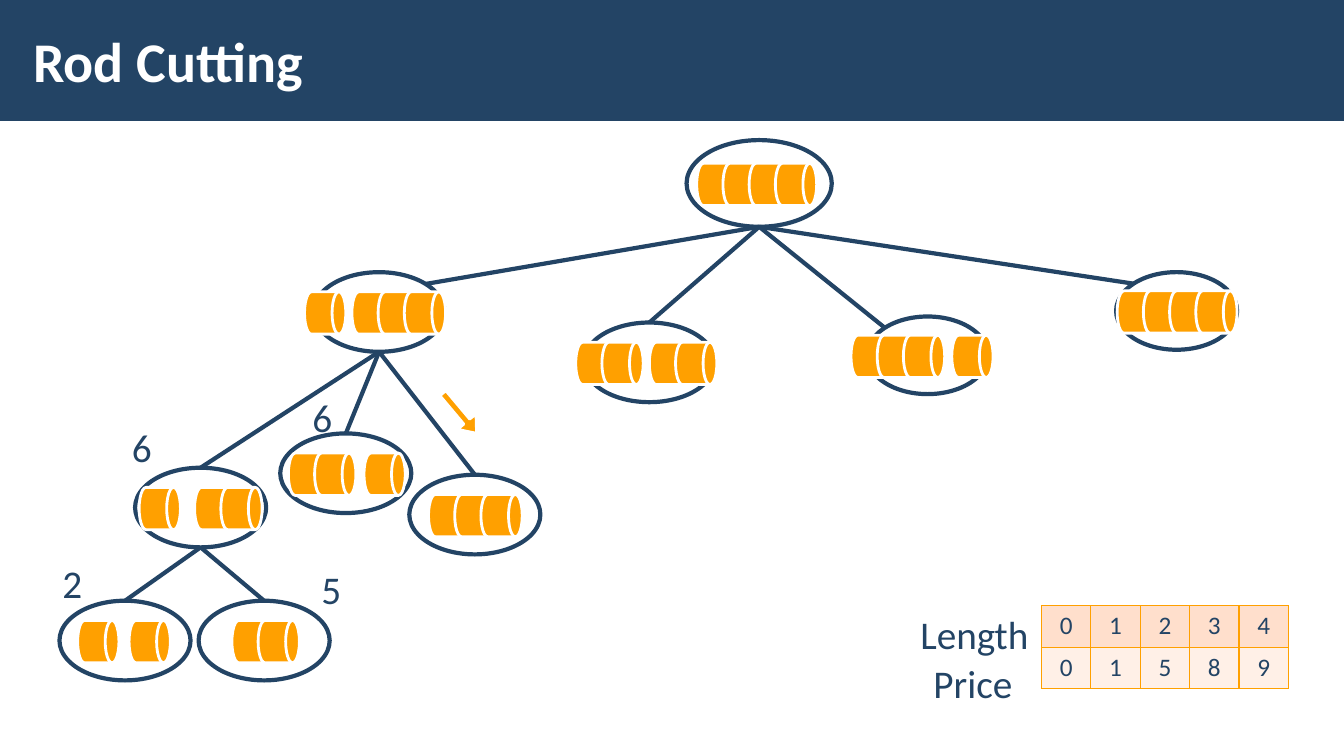
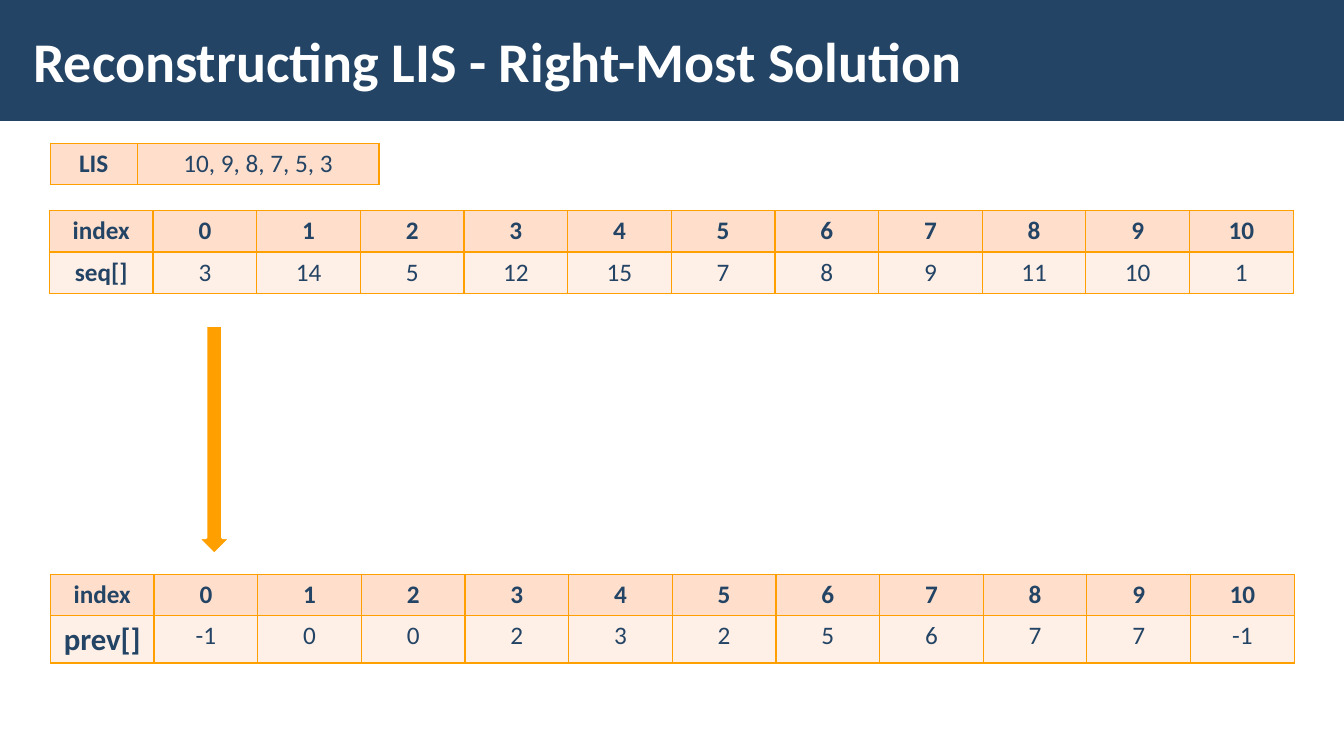
from lxml import etree
from pptx import Presentation
from pptx.dml.color import RGBColor
from pptx.enum.shapes import MSO_CONNECTOR, MSO_SHAPE
from pptx.enum.text import MSO_ANCHOR, PP_ALIGN
from pptx.oxml.ns import qn
from pptx.util import Inches, Pt

RECTANGLE = MSO_SHAPE.RECTANGLE
ELLIPSE = MSO_SHAPE.OVAL
DRUM = MSO_SHAPE.FLOWCHART_DIRECT_ACCESS_STORAGE
RIGHT_ARROW = MSO_SHAPE.RIGHT_ARROW
DOWN_ARROW = MSO_SHAPE.DOWN_ARROW
STRAIGHT = MSO_CONNECTOR.STRAIGHT
MIDDLE = MSO_ANCHOR.MIDDLE
LEFT, CENTER = PP_ALIGN.LEFT, PP_ALIGN.CENTER

NAVY, ORANGE, WHITE = "234465", "FFA000", "FFFFFF"
HEAD_FILL, BODY_FILL = "FFDFCC", "FFF0E7"
FONT = "Calibri"

# Places on an ellipse's outline, as fractions of its width and height
SITES = {"top": (0.5, 0), "top left": (0.15, 0.15), "top right": (0.85, 0.15)}
DRUM_WIDTH, DRUM_HEIGHT, DRUM_PITCH = 0.41, 0.42, 0.26

# name: (parent, site, left, top, width, height, rods as (left, length))
TREE = {
    "4": (None, None, 6.81, 1.39, 1.44, 0.86, [(6.91, 4)]),
    "1+3": ("4", "top right", 3.11, 2.7, 1.3, 0.79, [(3.02, 1), (3.49, 3)]),
    "2+2": ("4", "top", 5.79, 3.2, 1.3, 0.79, [(5.71, 2), (6.44, 2)]),
    "3+1": ("4", "top left", 8.6, 3.14, 1.2, 0.77, [(8.44, 3), (9.44, 1)]),
    "uncut 4": ("4", "top left", 11.07, 2.7, 1.2, 0.77, [(11.08, 4)]),
    "3 as 1+2": ("1+3", "top", 1.34, 4.64, 1.3, 0.79, [(1.38, 1), (1.93, 2)]),
    "uncut 3": ("1+3", "top", 4.06, 4.71, 1.3, 0.79, [(4.25, 3)]),
    "3 as 2+1": ("1+3", "top", 2.78, 4.3, 1.3, 0.79, [(2.86, 2), (3.61, 1)]),
    "2 as 1+1": ("3 as 1+2", "top", 0.59, 5.96, 1.3, 0.79, [(0.77, 1), (1.28, 1)]),
    "uncut 2": ("3 as 1+2", "top", 1.97, 5.96, 1.3, 0.79, [(2.3, 2)]),
}

LABELS = [("Length", 9.03, 6.01, 1.28), ("Price", 9.16, 6.49, 0.99),
          ("5", 3.09, 5.56, 0.4), ("2", 0.52, 5.5, 0.4),
          ("6", 1.21, 4.15, 0.4), ("6", 3, 3.85, 0.4)]

INDEX_ROW = ["index", *range(11)]
SEQUENCE = ["seq[]", 3, 14, 5, 12, 15, 7, 8, 9, 11, 10, 1]
PREVIOUS = ["prev[]", -1, 0, 0, 2, 3, 2, 5, 6, 7, 7, -1]


def rgb(value):
    return RGBColor.from_string(value)


def write(frame, text, size=18, color=NAVY, bold=False, align=LEFT):
    paragraph = frame.paragraphs[0]
    paragraph.alignment = align
    run = paragraph.add_run()
    run.text = str(text)
    run.font.name = FONT
    run.font.size = Pt(size)
    run.font.bold = bold
    run.font.color.rgb = rgb(color)


def set_borders(cell, color=ORANGE, weight=1):
    properties = cell._tc.get_or_add_tcPr()
    for position, side in enumerate(("a:lnL", "a:lnR", "a:lnT", "a:lnB")):
        border = etree.Element(qn(side), w=str(Pt(weight)))
        fill = etree.SubElement(border, qn("a:solidFill"))
        etree.SubElement(fill, qn("a:srgbClr"), val=color)
        properties.insert(position, border)


class Deck:
    def __init__(self):
        self.presentation = Presentation()
        self.presentation.slide_width = Inches(13.33)
        self.presentation.slide_height = Inches(7.5)
        self.slide = None

    def new_slide(self, title):
        """Start a slide with the title band."""
        layout = self.presentation.slide_layouts[6]
        self.slide = self.presentation.slides.add_slide(layout)
        self.shape(RECTANGLE, 0, 0, 13.33, 1.2, NAVY)
        frame = self.text_frame(0.21, 0.11, 10.63, 0.97)
        frame.word_wrap = True
        frame.vertical_anchor = MIDDLE
        frame.margin_left = frame.margin_right = Inches(0.12)
        frame.margin_top = frame.margin_bottom = Inches(0.04)
        write(frame, title, size=40, color=WHITE, bold=True)

    def text_frame(self, left, top, width, height):
        box = self.slide.shapes.add_textbox(
            Inches(left), Inches(top), Inches(width), Inches(height))
        return box.text_frame

    def label(self, text, left, top, width):
        frame = self.text_frame(left, top, width, 0.57)
        frame.word_wrap = False
        write(frame, text, size=28)

    def shape(self, kind, left, top, width, height, fill,
              line=None, weight=2, opacity=100):
        shape = self.slide.shapes.add_shape(
            kind, Inches(left), Inches(top), Inches(width), Inches(height))
        shape.shadow.inherit = False
        shape.fill.solid()
        shape.fill.fore_color.rgb = rgb(fill)
        if opacity < 100:
            color = shape._element.spPr.find(f"{qn('a:solidFill')}/{qn('a:srgbClr')}")
            etree.SubElement(color, qn("a:alpha"), val=str(opacity * 1000))
        if line:
            shape.line.color.rgb = rgb(line)
            shape.line.width = Pt(weight)
        else:
            shape.line.fill.background()
        return shape

    def rod(self, left, top, length):
        """Draw a rod as overlapping drums, one per unit of length."""
        for unit in range(length):
            self.shape(DRUM, left + unit * DRUM_PITCH, top,
                       DRUM_WIDTH, DRUM_HEIGHT, ORANGE, WHITE)

    def node(self, left, top, width, height, rods):
        ellipse = self.shape(ELLIPSE, left, top, width, height,
                             WHITE, NAVY, weight=3, opacity=50)
        for rod_left, length in rods:
            self.rod(rod_left, top + (height - 0.4) / 2, length)
        return ellipse

    def edge(self, parent, child, site):
        """Link the bottom of the parent to a site on the child's outline."""
        across, down = SITES[site]
        line = self.slide.shapes.add_connector(
            STRAIGHT, parent.left + parent.width // 2, parent.top + parent.height,
            child.left + int(child.width * across),
            child.top + int(child.height * down))
        if site == "top":
            line.end_connect(child, 0)
        line.line.color.rgb = rgb(NAVY)
        line.line.width = Pt(3)
        etree.SubElement(line._element.spPr, qn("a:effectLst"))

    def table(self, left, top, widths, rows, bold_head=True, bold_label=True,
              label_size=18):
        """Draw a table; label_size is for the first column below the head."""
        row_height = 0.41
        table = self.slide.shapes.add_table(
            len(rows), len(widths), Inches(left), Inches(top),
            Inches(sum(widths)), Inches(row_height * len(rows))).table
        table.first_row = table.horz_banding = False
        for column, width in zip(table.columns, widths):
            column.width = Inches(width)
        for r, values in enumerate(rows):
            table.rows[r].height = Inches(row_height)
            for c, value in enumerate(values):
                cell = table.cell(r, c)
                cell.fill.solid()
                cell.fill.fore_color.rgb = rgb(BODY_FILL if r else HEAD_FILL)
                set_borders(cell)
                write(cell.text_frame, value, align=CENTER,
                      size=label_size if r and c == 0 else 18,
                      bold=(bold_head and r == 0) or (bold_label and c == 0))


def rod_cutting(deck):
    deck.new_slide("Rod Cutting")
    nodes = {}
    for name, (parent, site, *place, rods) in TREE.items():
        nodes[name] = deck.node(*place, rods)
        if parent:
            deck.edge(nodes[parent], nodes[name], site)
    pointer = deck.shape(RIGHT_ARROW, 4.3, 3.98, 0.52, 0.24, ORANGE, WHITE)
    pointer.rotation = 50
    pointer.adjustments[0] = 0.32
    pointer.adjustments[1] = 0.63
    for label in LABELS:
        deck.label(*label)
    deck.table(10.33, 6.01, [0.49] * 5, [range(5), [0, 1, 5, 8, 9]],
               bold_head=False, bold_label=False)


def reconstructing_lis(deck):
    deck.new_slide("Reconstructing LIS - Right-Most Solution")
    deck.shape(DOWN_ARROW, 1.96, 3.23, 0.33, 2.27, ORANGE, WHITE)
    widths = [12.34 / len(INDEX_ROW)] * len(INDEX_ROW)
    deck.table(0.49, 2.09, widths, [INDEX_ROW, SEQUENCE])
    deck.table(0.5, 5.7, widths, [INDEX_ROW, PREVIOUS], label_size=22)
    deck.table(0.5, 1.42, [0.86, 2.4], [["LIS", "10, 9, 8, 7, 5, 3"]],
               bold_head=False)


def main():
    deck = Deck()
    rod_cutting(deck)
    reconstructing_lis(deck)
    deck.presentation.save("out.pptx")


if __name__ == "__main__":
    main()
